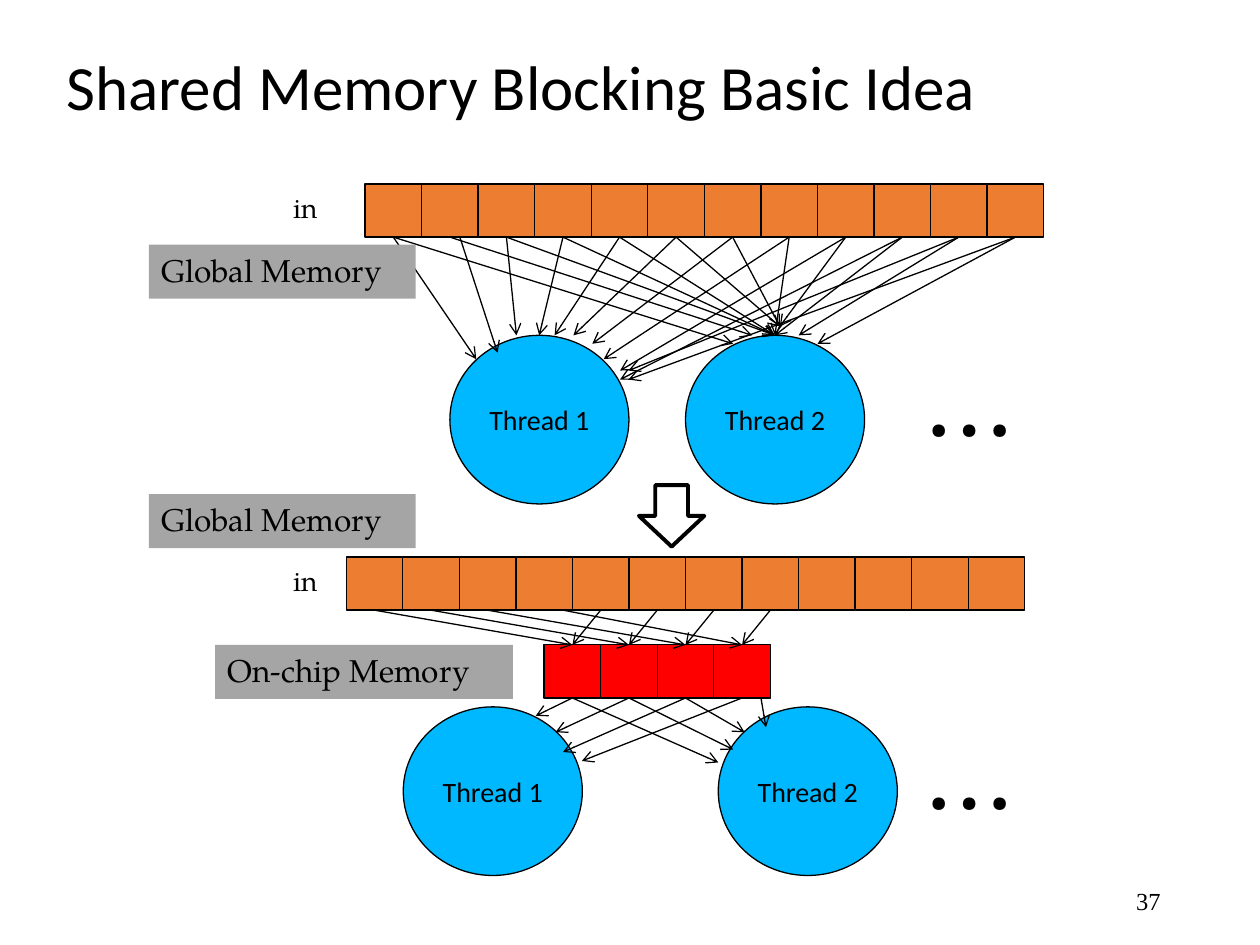
from dataclasses import dataclass
from typing import NamedTuple, Optional, Union

from lxml import etree
from pptx import Presentation
from pptx.dml.color import RGBColor
from pptx.enum.shapes import MSO_CONNECTOR, MSO_SHAPE
from pptx.enum.text import MSO_ANCHOR, PP_ALIGN
from pptx.oxml.ns import qn
from pptx.util import Cm, Pt

RECT, OVAL, DOWN = MSO_SHAPE.RECTANGLE, MSO_SHAPE.OVAL, MSO_SHAPE.DOWN_ARROW
STRAIGHT = MSO_CONNECTOR.STRAIGHT
TOP, MIDDLE = MSO_ANCHOR.TOP, MSO_ANCHOR.MIDDLE
LEFT, CENTER, RIGHT = PP_ALIGN.LEFT, PP_ALIGN.CENTER, PP_ALIGN.RIGHT
TOP_SIDE, BOTTOM_SIDE = 0, 2


@dataclass(frozen=True)
class Theme:
    black: str = "000000"
    white: str = "FFFFFF"
    global_cell: str = "ED7D31"
    chip_cell: str = "FF0000"
    thread: str = "00B8FF"
    label: str = "A5A5A5"
    sans: str = "Calibri"
    serif: str = "TeX Gyre Pagella"
    number_font: str = "Times New Roman"
    title_size: int = 36
    dots_size: int = 60
    label_size: int = 18
    body_size: int = 16
    number_size: int = 14
    thin: float = 0.75
    thick: float = 2.25


class Box(NamedTuple):
    x: float
    y: float
    w: float
    h: float


class Point(NamedTuple):
    x: float
    y: float


class Site(NamedTuple):
    shape: object
    side: int


class TextStyle(NamedTuple):
    size: int
    font: str
    align: int = LEFT
    anchor: int = TOP


@dataclass(frozen=True)
class Scene:
    row: Point
    threads: tuple
    dots_y: float
    label_y: float


T = Theme()
CELL_W, CELL_H = 1.14, 1.07
CELLS, CHIP_CELLS = 12, 4
THREAD_W, THREAD_H = 3.61, 3.4
LABEL_X, LABEL_W, LABEL_H = 3, 5.38, 1.09

DIRECT = Scene(Point(7.36, 3.71), (Point(9.07, 6.76), Point(13.82, 6.76)), 6.58, 4.93)
BLOCKED = Scene(Point(6.98, 11.23), (Point(8.13, 14.25), Point(14.48, 14.25)), 14.1, 9.96)
CHIP = Point(10.97, 13)

DIRECT_STARTS = {(0, 1): 9.27}
DIRECT_ENDS = (
    ((9.6, 7.24), (10.03, 7.11), (10.41, 6.76), (10.87, 6.76), (11.18, 6.76), (11.56, 6.76),
     (11.94, 6.93), (12.17, 7.24), (12.5, 7.47), (12.5, 7.65), (12.67, 7.47), (12.67, 7.65)),
    ((14.78, 6.93), (15.16, 6.76), (15.62, 6.76), (15.62, 6.76), (15.62, 6.76), (15.72, 6.58),
     (15.72, 6.58), (15.62, 6.76), (15.72, 6.58), (15.62, 6.76), (16.1, 6.76), (16.48, 6.93)),
)
CHIP_STARTS = {(1, 3): 15.34}
CHIP_ENDS = (
    ((10.8, 14.43), (11.2, 14.76), (11.35, 15.16), (11.73, 15.34)),
    ((14.48, 15.37), (14.78, 15.11), (15.01, 14.76), (15.44, 14.66)),
)


def rgb(color: str) -> RGBColor:
    return RGBColor.from_string(color)


def write(shape, text: str, style: TextStyle, wrap: bool = True):
    tf = shape.text_frame
    tf.word_wrap = wrap
    tf.vertical_anchor = style.anchor
    p = tf.paragraphs[0]
    p.alignment = style.align
    r = p.add_run()
    r.text = text
    r.font.size, r.font.name = Pt(style.size), style.font
    r.font.color.rgb = rgb(T.black)
    return p


def text_box(s, box: Box, text: str, style: TextStyle):
    return write(s.shapes.add_textbox(*map(Cm, box)), text, style)


def shape(s, kind: int, box: Box, fill: str, line: Optional[float] = T.thin):
    sp = s.shapes.add_shape(kind, *map(Cm, box))
    sp.shadow.inherit = False
    sp.fill.solid()
    sp.fill.fore_color.rgb = rgb(fill)
    if line is None:
        sp.line.fill.background()
    else:
        sp.line.color.rgb = rgb(T.black)
        sp.line.width = Pt(line)
    return sp


def memory(s, origin: Point, count: int, fill: str) -> list:
    return [shape(s, RECT, Box(origin.x + i * CELL_W, origin.y, CELL_W, CELL_H), fill)
            for i in range(count)]


def label(s, box: Box, text: str) -> None:
    write(shape(s, RECT, box, T.label, None), text, TextStyle(T.label_size, T.serif), False)


def arrow(s, begin: Union[Point, Site], end: Union[Point, Site]) -> None:
    ends = [Point(0, 0) if isinstance(e, Site) else e for e in (begin, end)]
    c = s.shapes.add_connector(STRAIGHT, *(Cm(v) for e in ends for v in e))
    if isinstance(begin, Site):
        c.begin_connect(*begin)
    if isinstance(end, Site):
        c.end_connect(*end)
    c.line.color.rgb = rgb(T.black)
    c.line.width = Pt(T.thin)
    etree.SubElement(c.line._get_or_add_ln(), qn("a:tailEnd"), type="arrow")
    etree.SubElement(c._element.spPr, qn("a:effectLst"))


def fan(s, cells: list, bottom: float, targets: tuple, starts: dict) -> None:
    for t, points in enumerate(targets):
        for i, (cell, point) in enumerate(zip(cells, points)):
            x = starts.get((t, i))
            begin = Site(cell, BOTTOM_SIDE) if x is None else Point(x, bottom)
            arrow(s, begin, Point(*point))


def scene(s, sc: Scene) -> list:
    cells = memory(s, sc.row, CELLS, T.global_cell)
    for n, at in enumerate(sc.threads, 1):
        write(shape(s, OVAL, Box(*at, THREAD_W, THREAD_H), T.thread), f"Thread {n}",
              TextStyle(T.body_size, T.sans, CENTER, MIDDLE))
    text_box(s, Box(18.39, sc.dots_y, 3.78, 2.39), "…", TextStyle(T.dots_size, T.serif))
    text_box(s, Box(5.66, sc.row.y, 1.14, 1.09), "in", TextStyle(T.body_size, T.serif))
    return cells


def main() -> None:
    prs = Presentation()
    prs.slide_width, prs.slide_height = Cm(25.4), Cm(19.05)
    s = prs.slides.add_slide(prs.slide_layouts[6])

    p = text_box(s, Box(1.09, 0.86, 24, 1.91), "Shared Memory Blocking Basic Idea",
                 TextStyle(T.title_size, T.sans, anchor=MIDDLE))
    p.line_spacing = 0.9

    cells = scene(s, DIRECT)
    fan(s, cells, DIRECT.row.y + CELL_H, DIRECT_ENDS, DIRECT_STARTS)

    cells = scene(s, BLOCKED)
    chip = memory(s, CHIP, CHIP_CELLS, T.chip_cell)
    loads = [Site(c, BOTTOM_SIDE) for c in cells[:8]]
    loads[3] = Point(11.35, BLOCKED.row.y + CELL_H)
    for i, begin in enumerate(loads):
        arrow(s, begin, Site(chip[i % CHIP_CELLS], TOP_SIDE))
    fan(s, chip, CHIP.y + CELL_H, CHIP_ENDS, CHIP_STARTS)

    for sc in (DIRECT, BLOCKED):
        label(s, Box(LABEL_X, sc.label_y, LABEL_W, LABEL_H), "Global Memory")
    label(s, Box(4.34, CHIP.y, 6, LABEL_H), "On-chip Memory")
    shape(s, DOWN, Box(12.88, 9.78, 1.32, 1.24), T.white, T.thick)
    text_box(s, Box(17.93, 17.65, 5.72, 1.02), "37",
             TextStyle(T.number_size, T.number_font, RIGHT, MIDDLE))
    prs.save("out.pptx")


if __name__ == "__main__":
    main()
